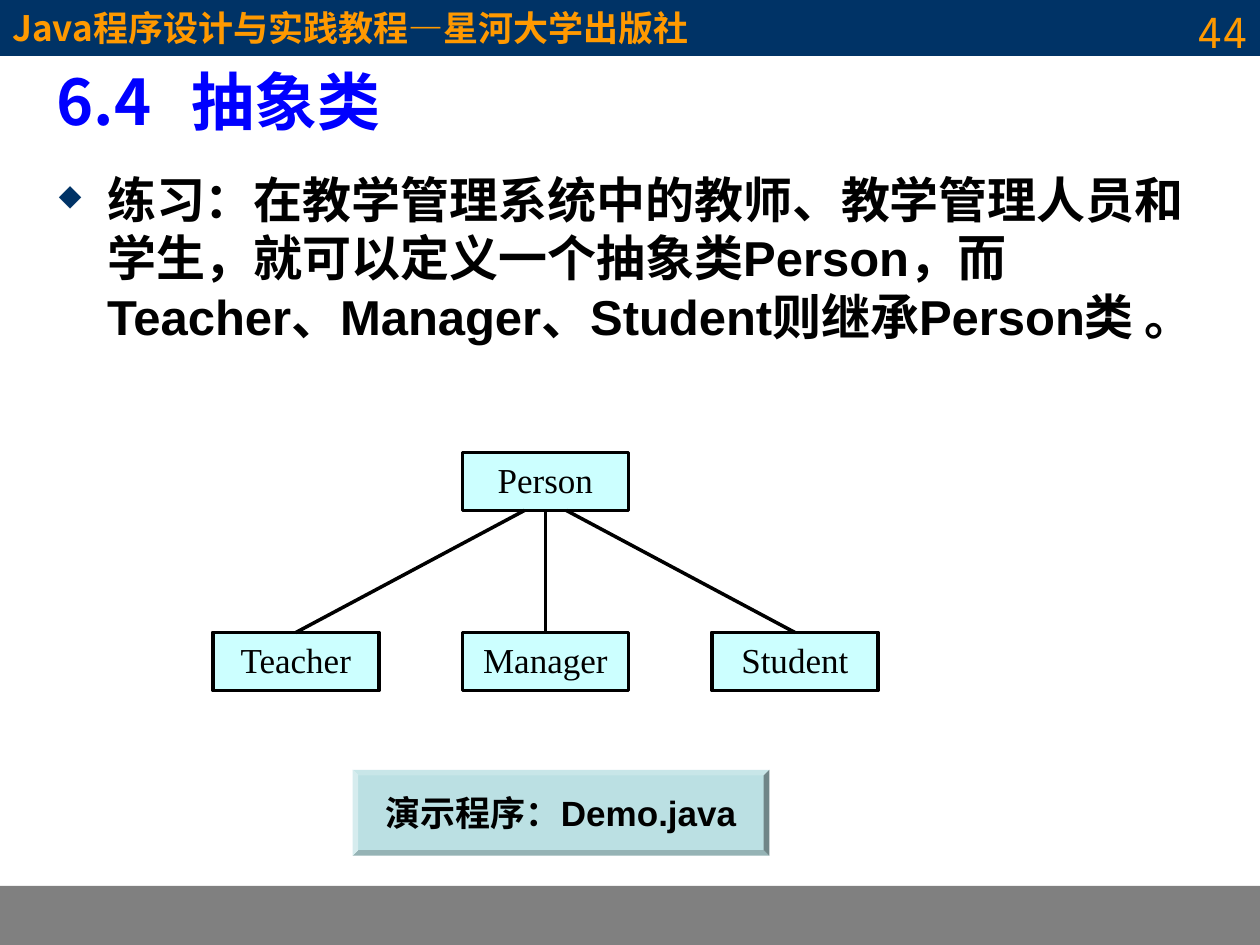
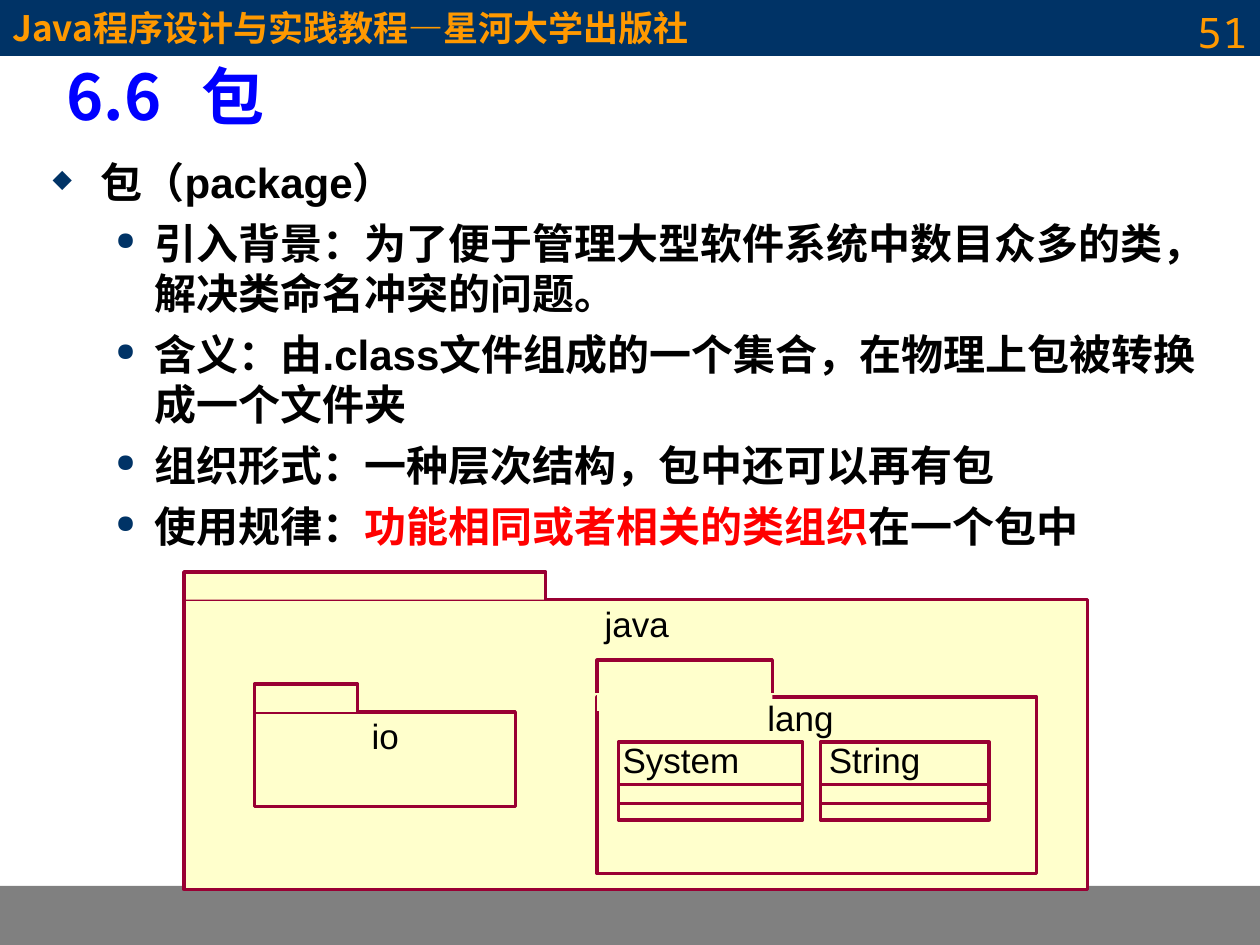
from dataclasses import dataclass

from lxml import etree
from pptx import Presentation, util as u
from pptx.dml.color import RGBColor
from pptx.enum import shapes, text
from pptx.oxml.ns import qn
from pptx.util import Cm


@dataclass(frozen=True)
class Theme:
    """Colours, typefaces and type sizes of the deck."""
    navy: str = "003366"
    orange: str = "FF9900"
    grey: str = "808080"
    blue: str = "0000FF"
    black: str = "000000"
    red: str = "FF0000"
    cyan: str = "CCFFFF"
    teal: str = "BBE0E3"
    cream: str = "FFFFCC"
    wine: str = "990033"
    han: str = "Noto Sans CJK SC"
    sans: str = "Arial"
    serif: str = "Times New Roman"
    mono: str = "Noto Sans Mono"
    title: int = 36
    page: int = 24
    label: int = 20
    stroke: float = 2.01
    leading: float = 1.2


theme = Theme()
LEFT, CENTER, RIGHT = text.PP_ALIGN.LEFT, text.PP_ALIGN.CENTER, text.PP_ALIGN.RIGHT
TOP, MIDDLE = text.MSO_ANCHOR.TOP, text.MSO_ANCHOR.MIDDLE
PADDED = {"margin_left": Cm(0.25), "margin_right": Cm(0.25),
          "margin_top": Cm(0.13), "margin_bottom": Cm(0.13)}
TIGHT = dict.fromkeys(PADDED, 0)


def write(frame, paragraphs, size, face, color=theme.black, bold=False, align=LEFT,
          anchor=TOP, wrap=True, margins=PADDED, leading=None):
    """Fill a text frame; each paragraph is a list of (words, colour or None)."""
    frame_format = {"word_wrap": wrap, "vertical_anchor": anchor,
                    "auto_size": text.MSO_AUTO_SIZE.NONE, **margins}
    for name, value in frame_format.items():
        setattr(frame, name, value)
    for number, pieces in enumerate(paragraphs):
        paragraph = frame.add_paragraph() if number else frame.paragraphs[0]
        paragraph.alignment = align
        if leading:
            paragraph.line_spacing = u.Pt(round(size * leading, 1))
        for words, accent in pieces:
            run = paragraph.add_run()
            run.text = words
            run.font.color.rgb = RGBColor.from_string(accent or color)
            for name, value in {"size": u.Pt(size), "name": face, "bold": bold}.items():
                setattr(run.font, name, value)
            etree.SubElement(run.font._element, qn("a:ea"), typeface=theme.han)


def add_box(parent, place, fill=None, line=None, width=theme.stroke,
            kind=shapes.MSO_SHAPE.RECTANGLE):
    """Add a flat shape at (left, top, width, height) in centimetres."""
    box = parent.add_shape(kind, *map(Cm, place))
    box.shadow.inherit = False
    if fill:
        box.fill.solid()
        box.fill.fore_color.rgb = RGBColor.from_string(fill)
    else:
        box.fill.background()
    if line:
        box.line.color.rgb = RGBColor.from_string(line)
        box.line.width = u.Pt(width)
    else:
        box.line.fill.background()
    return box


deck = Presentation()
deck.slide_width, deck.slide_height = Cm(25.4), Cm(19.05)
layout = deck.slide_layouts[5]

pages = [
    {"number": "44", "title": "6.4\t抽象类", "title_at": (0.89, 1.12),
     "body_at": (0.94, 3.28, 23.55, 12.57), "size": 28, "before": 7,
     "body": [(0, [("练习：在教学管理系统中的教师、教学管理人员和学生，就可以定义一个抽象类"
                    "Person，而Teacher、Manager、Student则继承Person类 。", None)])]},
    {"number": "51", "title": "6.6\t包", "title_at": (1.09, 1.02),
     "body_at": (0.81, 3.02, 23.8, 14.2), "size": 24, "before": 6,
     "body": [(0, [("包（package）", None)]),
              (1, [("引入背景：为了便于管理大型软件系统中数目众多的类，"
                    "解决类命名冲突的问题。", None)]),
              (1, [("含义：由.class文件组成的一个集合，在物理上包被转换成一个文件夹", None)]),
              (1, [("组织形式：一种层次结构，包中还可以再有包", None)]),
              (1, [("使用规律：", None), ("功能相同或者相关的类组织", theme.red),
                   ("在一个包中", None)])]},
]
# Per level: text indent, hanging indent, bullet sign
levels = [(0.97, -0.97, "◆"), (2.06, -0.79, "●")]

slides = []
for page in pages:
    slide = deck.slides.add_slide(layout)
    slides.append(slide)

    heading = slide.shapes.title
    heading_place = (*page["title_at"], 21.59, 1.91)
    for name, value in zip(("left", "top", "width", "height"), heading_place):
        setattr(heading, name, Cm(value))
    write(heading.text_frame, [[(page["title"], None)]], theme.title, theme.han,
          theme.blue, bold=True, leading=theme.leading)
    stops = etree.SubElement(heading.text_frame.paragraphs[0]._p.get_or_add_pPr(),
                             qn("a:tabLst"))
    etree.SubElement(stops, qn("a:tab"), pos=str(Cm(2.72)), algn="l")

    body = slide.shapes.add_textbox(*map(Cm, page["body_at"])).text_frame
    write(body, [pieces for level, pieces in page["body"]], page["size"], theme.sans,
          bold=True, leading=theme.leading)
    for paragraph, (level, pieces) in zip(body.paragraphs, page["body"]):
        paragraph.level = level
        paragraph.space_before = u.Pt(page["before"])
        indent, hanging, sign = levels[level]
        properties = paragraph._p.get_or_add_pPr()
        properties.set("marL", str(Cm(indent)))
        properties.set("indent", str(Cm(hanging)))
        bullet_color = etree.SubElement(properties, qn("a:buClr"))
        etree.SubElement(bullet_color, qn("a:srgbClr"), val=theme.navy)
        etree.SubElement(properties, qn("a:buSzPct"), val="60000")
        etree.SubElement(properties, qn("a:buChar"), char=sign)

    page_number = slide.shapes.add_textbox(Cm(19.48), 0, Cm(5.92), Cm(1.32))
    write(page_number.text_frame, [[(page["number"], None)]], theme.page, theme.mono,
          theme.orange, align=RIGHT)

inheritance, packages = slides

# Bands shared by both slides: drawn once, then moved to the back of the layout
footer = add_box(inheritance.shapes, (0, 17.86, 25.4, 1.19), theme.grey)
header = add_box(inheritance.shapes, (0, 0, 25.4, 1.12), theme.navy, theme.navy, 0.74)
write(header.text_frame, [[("Java程序设计与实践教程—星河大学出版社", None)]], theme.label,
      theme.han, theme.orange, bold=True, anchor=MIDDLE, wrap=False)
for position, band in enumerate((footer, header), start=2):
    layout.shapes.element.insert(position, band.element)

# Class tree: one parent over three children
tree = inheritance.shapes.add_group_shape().shapes
class_width, class_height, class_step = 3.35, 1.17, 5.03
parent_left, parent_top, child_top = 9.32, 9.12, 12.75
classes = [("Person", 0, parent_top), ("Teacher", -1, child_top),
           ("Manager", 0, child_top), ("Student", 1, child_top)]
for name, column, top in classes:
    place = (parent_left + column * class_step, top, class_width, class_height)
    class_box = add_box(tree, place, theme.cyan, theme.black)
    write(class_box.text_frame, [[(name, None)]], theme.label, theme.serif, align=CENTER)

middle = parent_left + class_width / 2
for column in (-1, 0, 1):
    branch = tree.add_connector(
        shapes.MSO_CONNECTOR.STRAIGHT,
        Cm(middle + column * 0.42), Cm(parent_top + class_height),
        Cm(middle + column * class_step), Cm(child_top))
    branch.line.color.rgb = RGBColor.from_string(theme.black)
    branch.line.width = u.Pt(theme.stroke)
    etree.SubElement(branch._element.spPr, qn("a:effectLst"))

demo = add_box(inheritance.shapes, (7.11, 15.52, 8.4, 1.73), theme.teal,
               kind=shapes.MSO_SHAPE.BEVEL)
demo.adjustments[0] = 0.065
write(demo.text_frame, [[("演示程序：Demo.java", None)]], theme.label, theme.sans,
      bold=True, align=CENTER, anchor=MIDDLE, wrap=False)

# Package diagram: folder, tab (left, top, width, height), top of the tab's fill, label
diagram = packages.shapes.add_group_shape().shapes
folders = [
    ("java", (3.71, 12.09, 18.21, 5.84), (3.71, 11.53, 7.29, 0.56), 11.53, (12.19, 12.14, 1.3)),
    ("lang", (12.04, 14.05, 8.86, 3.56), (12.04, 13.31, 3.53, 0.66), 13.67, (15.47, 14.05, 1.35)),
    ("io", (5.13, 14.35, 5.26, 1.91), (5.13, 13.79, 2.08, 0.56), 13.79, (7.49, 14.4, 0.56)),
]
labels = []
for name, folder, tab, fill_top, label_at in folders:
    left, top, width, height = tab
    add_box(diagram, folder, theme.cream, theme.wine)
    add_box(diagram, (left, fill_top, width, height), theme.cream)
    outline = diagram.build_freeform(Cm(left), Cm(top + height))
    corners = [(left, top), (left + width, top), (left + width, top + height)]
    outline.add_line_segments([(Cm(x), Cm(y)) for x, y in corners], close=False)
    edge = outline.convert_to_shape()
    edge.shadow.inherit = False
    edge.fill.background()
    edge.line.color.rgb = RGBColor.from_string(theme.wine)
    edge.line.width = u.Pt(theme.stroke)
    labels.append((name, label_at))

# Classes inside the lang package, each with a divided lower part
members = [("System", 12.47, 3.71, (12.55, 14.88, 2.36)),
           ("String", 16.54, 3.4, (16.71, 14.88, 1.85))]
for name, left, width, label_at in members:
    add_box(diagram, (left, 14.96, width, 1.57), theme.cream, theme.wine)
    add_box(diagram, (left, 15.82, width, 0.38), line=theme.wine)
    labels.append((name, label_at))

for name, (left, top, width) in labels:
    label = diagram.add_textbox(Cm(left), Cm(top), Cm(width), Cm(0.84))
    write(label.text_frame, [[(name, None)]], theme.label, theme.sans, wrap=False,
          margins=TIGHT)

deck.save("out.pptx")
